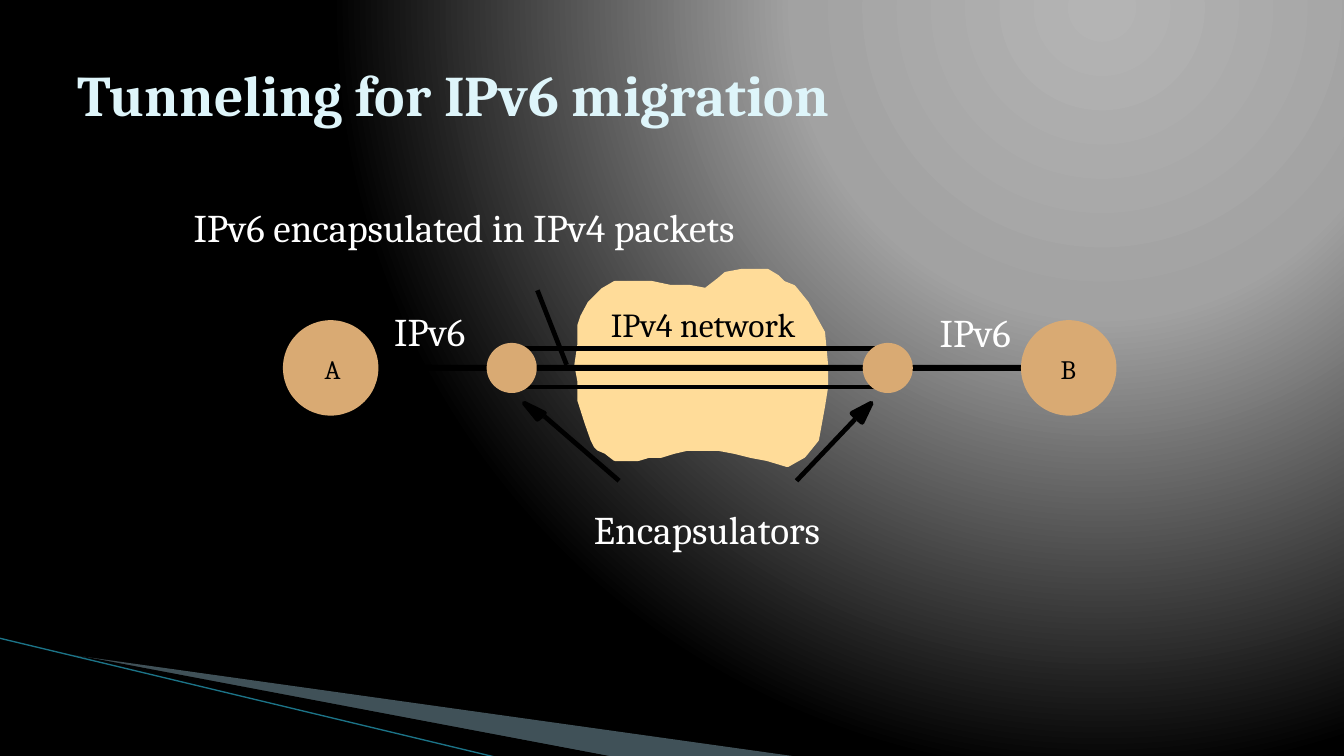
import pptx
import pptx.dml.color
import pptx.enum.shapes
import pptx.enum.text
import pptx.util
import lxml.etree

CELL = 9144
COLUMNS, ROWS = 1333, 750
FONT = "Cambria"
BLACK, WHITE, NODE, CLOUD = "000000", "FFFFFF", "D9AA73", "FFDC99"
STROKE = 3.38
AXIS = 365
CLOUD_OUTLINE = [
    (578, 314), (585, 301), (598, 288), (610, 281), (620, 281), (630, 281), (646, 281),
    (665, 285), (684, 285), (700, 288), (713, 278), (720, 272), (736, 269), (749, 269),
    (761, 269), (771, 275), (777, 281), (787, 285), (800, 301), (816, 330), (819, 362),
    (819, 384), (816, 403), (810, 436), (797, 452), (781, 461), (761, 455), (745, 452),
    (729, 448), (713, 445), (697, 445), (681, 445), (668, 448), (655, 452), (643, 452),
    (633, 455), (620, 455), (610, 455), (601, 448), (594, 445), (591, 442), (588, 436),
    (582, 419), (575, 397), (575, 378), (572, 362), (575, 342), (575, 323),
]


def cells(*counts):
    """Turn counts of grid cells into lengths."""
    return [pptx.util.Emu(count * CELL) for count in counts]


def rgb(value):
    """Return the colour for a hex string."""
    return pptx.dml.color.RGBColor.from_string(value)


def add_xml(parent, tag, **attributes):
    """Append a DrawingML child element and return it."""
    name = pptx.oxml.ns.qn(tag)
    return lxml.etree.SubElement(parent, name, attributes)


def paint(shape, color, outlined):
    """Give a shape a flat fill and, if asked, an outline in that colour."""
    shape.shadow.inherit = False
    shape.fill.solid()
    shape.fill.fore_color.rgb = rgb(color)
    if outlined:
        shape.line.color.rgb = rgb(color)
        shape.line.width = pptx.util.Pt(STROKE)
    else:
        shape.line.fill.background()
    return shape


def add_outline(slide, points, color, outlined=True):
    """Draw a closed polygon through grid points."""
    builder = slide.shapes.build_freeform(*points[0], scale=CELL)
    builder.add_line_segments(points[1:], close=True)
    return paint(builder.convert_to_shape(), color, outlined)


def add_line(slide, start, end, color=BLACK, width=STROKE):
    """Draw a straight line between two grid points."""
    line = slide.shapes.add_connector(
        pptx.enum.shapes.MSO_CONNECTOR.STRAIGHT, *cells(*start, *end))
    line.line.color.rgb = rgb(color)
    line.line.width = pptx.util.Pt(width)
    add_xml(line.element.spPr, "a:effectLst")


def add_node(slide, center, diameter):
    """Draw a round network node on the axis."""
    corner = center - diameter / 2, AXIS - diameter / 2
    circle = slide.shapes.add_shape(
        pptx.enum.shapes.MSO_SHAPE.OVAL, *cells(*corner, diameter, diameter))
    paint(circle, NODE, True)


def write(paragraph, text, size, color, bold=False):
    """Add one formatted run to a paragraph."""
    run = paragraph.add_run()
    run.text = text
    run.font.name = FONT
    run.font.size = pptx.util.Pt(size)
    run.font.bold = bold
    run.font.color.rgb = rgb(color)


def add_label(slide, text, box, size=28, color=WHITE):
    """Place a label without margins or wrapping."""
    frame = slide.shapes.add_textbox(*cells(*box)).text_frame
    frame.margin_left = frame.margin_right = 0
    frame.margin_top = frame.margin_bottom = 0
    frame.word_wrap = False
    write(frame.paragraphs[0], text, size, color)


def add_background(slide):
    """Fill the background with a circular gradient from the upper right."""
    slide.background.fill.gradient()
    gradient = slide.element.xpath(".//p:bgPr/a:gradFill")[0]
    for child in list(gradient):
        gradient.remove(child)
    stops = add_xml(gradient, "a:gsLst")
    for position, color in ((0, "B4B4B4"), (40, "A2A2A2"), (100, BLACK)):
        stop = add_xml(stops, "a:gs", pos=str(position * 1000))
        add_xml(stop, "a:srgbClr", val=color)
    circle = add_xml(gradient, "a:path", path="circle")
    add_xml(circle, "a:fillToRect", l="65000", t="0", r="0", b="98000")


def add_decoration(slide):
    """Draw the wedges and the thin line in the lower left corner."""
    wedge = add_outline(slide, [(73, 650), (793, 751), (608, 751)], "A0CBDC", False)
    color = wedge.element.xpath("./p:spPr/a:solidFill/a:srgbClr")[0]
    add_xml(color, "a:alpha", val="40000")
    add_outline(slide, [(71, 649), (609, 751), (496, 752)], BLACK, False)
    add_line(slide, (-1, 633), (495, 752), "1C7387", 0.95)


def add_title(slide, text):
    """Place and write the slide title."""
    title = slide.shapes.title
    title.left, title.top, title.width, title.height = cells(67, 30, 1200, 125)
    frame = title.text_frame
    frame.vertical_anchor = pptx.enum.text.MSO_ANCHOR.MIDDLE
    frame.word_wrap = True
    paragraph = frame.paragraphs[0]
    paragraph.alignment = pptx.enum.text.PP_ALIGN.LEFT
    write(paragraph, text, 41, "DEF5FA", True)


def add_network(slide):
    """Draw the cloud, the tunnel, the link and the nodes."""
    add_outline(slide, CLOUD_OUTLINE, CLOUD)
    for row in (AXIS - 19, AXIS + 19):
        add_line(slide, (511, row), (884, row))
    link = slide.shapes.add_shape(
        pptx.enum.shapes.MSO_SHAPE.RECTANGLE, *cells(350, AXIS - 3, 697, 6))
    paint(link, BLACK, False)
    for center, diameter in ((328, 90), (1060, 90), (507.5, 45), (880.5, 45)):
        add_node(slide, center, diameter)


def add_pointers(slide):
    """Draw the lines that lead from the labels to the tunnel and its ends."""
    add_line(slide, (533, 288), (562, 362))
    add_outline(slide, [(537, 413), (533, 416), (520, 400), (540, 410)], BLACK)
    add_line(slide, (540, 413), (614, 477))
    add_outline(slide, [(848, 413), (845, 410), (864, 400), (855, 419)], BLACK)
    add_line(slide, (848, 416), (790, 477))


def main():
    """Build and save the slide."""
    presentation = pptx.Presentation()
    presentation.slide_width, presentation.slide_height = cells(COLUMNS, ROWS)
    slide = presentation.slides.add_slide(presentation.slide_layouts[5])
    add_background(slide)
    add_decoration(slide)
    add_title(slide, "Tunneling for IPv6 migration")
    add_network(slide)
    add_pointers(slide)
    add_label(slide, "A", (322, 350, 17, 32), 19, BLACK)
    add_label(slide, "B", (1052, 350, 16, 32), 19, BLACK)
    add_label(slide, "IPv6", (391, 305, 77, 47))
    add_label(slide, "IPv6", (932, 306, 77, 47))
    add_label(slide, "IPv6 encapsulated in IPv4 packets", (192, 202, 569, 47))
    add_label(slide, "Encapsulators", (589, 501, 238, 47))
    add_label(slide, "IPv4 network", (606, 302, 194, 40), 24, BLACK)
    presentation.save("out.pptx")


if __name__ == "__main__":
    main()
